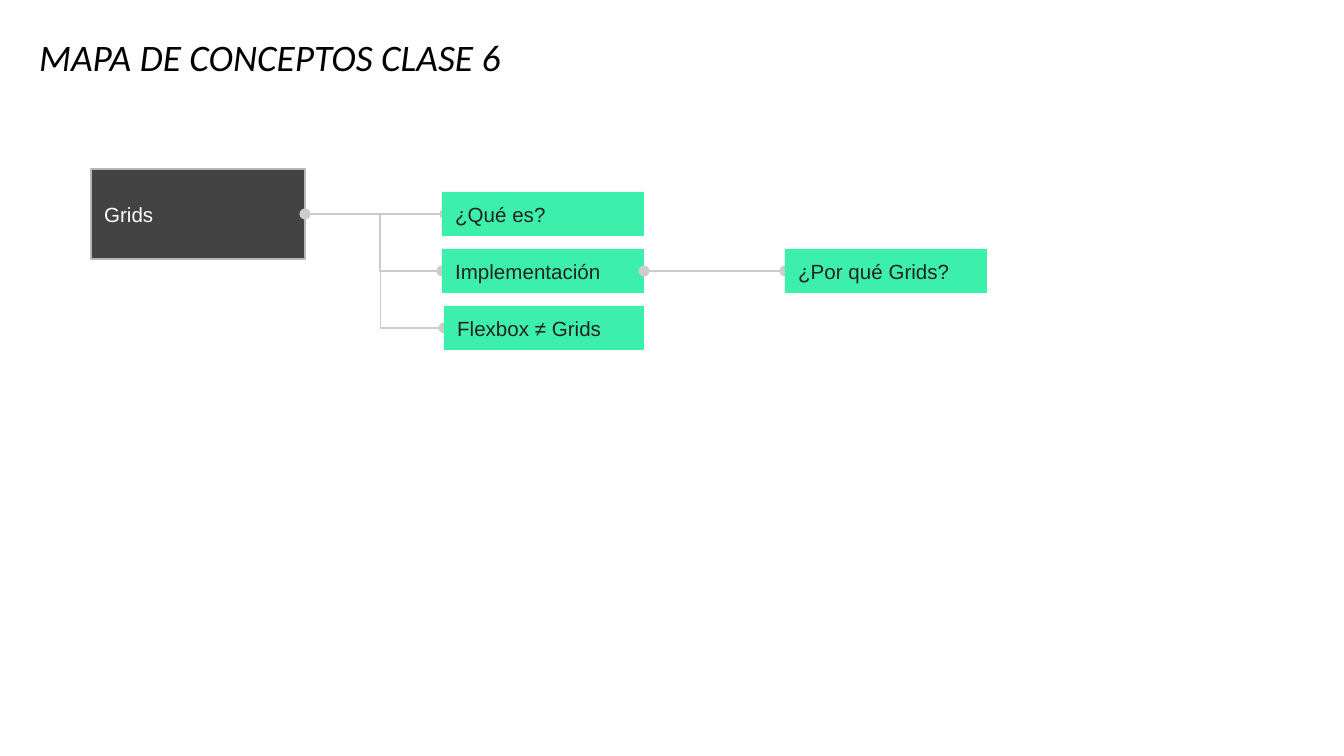
from lxml import etree
from pptx import Presentation, util as u
from pptx.dml.color import RGBColor
from pptx.enum import shapes, text
from pptx.oxml.ns import qn

PX = 914400 / 134.4
BLACK = RGBColor(0x00, 0x00, 0x00)
WHITE = RGBColor(0xFF, 0xFF, 0xFF)
DARK = RGBColor(0x43, 0x43, 0x43)
INK = RGBColor(0x22, 0x22, 0x22)
GREEN = RGBColor(0x3C, 0xEF, 0xAB)
BORDER = RGBColor(0xB7, 0xB7, 0xB7)
GREY = RGBColor(0xCC, 0xCC, 0xCC)

ROOT_RIGHT, ROOT_MIDDLE = 305, 214
TOPIC_LEFT, TOPIC_RIGHT, TOPIC_HEIGHT = 442, 644, 44
TOPIC_TOP, TOPIC_STEP = 192, 57
DETAIL_LEFT, DETAIL_WIDTH = 785, 202


def px(*lengths):
    return [u.Emu(round(length * PX)) for length in lengths]


def write(shape, words, anchor, font_name, size, color):
    """Fill a shape with one left-aligned run and return the run."""
    frame = shape.text_frame
    frame.word_wrap = True
    frame.vertical_anchor = anchor
    frame.margin_left = frame.margin_right = u.Inches(0.1)
    frame.margin_top = frame.margin_bottom = u.Inches(0.1)
    paragraph = frame.paragraphs[0]
    paragraph.alignment = text.PP_ALIGN.LEFT
    run = paragraph.add_run()
    run.text = words
    run.font.name = font_name
    run.font.size = u.Pt(size)
    run.font.color.rgb = color
    return run


presentation = Presentation()
presentation.slide_width, presentation.slide_height = px(1344, 756)
slide = presentation.slides.add_slide(presentation.slide_layouts[6])

title = slide.shapes.add_textbox(*px(26, 30, 1110, 62))
title_run = write(title, "MAPA DE CONCEPTOS CLASE 6", text.MSO_ANCHOR.BOTTOM,
                  "Calibri", 20, BLACK)
title_run.font.italic = True

# Connectors lie under the box they lead to, so the two are drawn in turn.
STRAIGHT = shapes.MSO_CONNECTOR.STRAIGHT
ELBOW = shapes.MSO_CONNECTOR.ELBOW
middles = [TOPIC_TOP + TOPIC_STEP * row + TOPIC_HEIGHT // 2 for row in range(3)]
topic_width = TOPIC_RIGHT - TOPIC_LEFT
# label, left, middle, width, height, fill, connector (kind, x1, y1, x2, y2), parent
concepts = [
    ("Grids", 91, ROOT_MIDDLE, 214, 90, DARK, None, None),
    ("¿Qué es?", TOPIC_LEFT, middles[0], topic_width, TOPIC_HEIGHT, GREEN,
     (STRAIGHT, ROOT_RIGHT, ROOT_MIDDLE, 445, ROOT_MIDDLE), "Grids"),
    ("Implementación", TOPIC_LEFT, middles[1], topic_width, TOPIC_HEIGHT, GREEN,
     (ELBOW, 317, ROOT_MIDDLE, TOPIC_LEFT, middles[1]), None),
    ("¿Por qué Grids?", DETAIL_LEFT, middles[1], DETAIL_WIDTH, TOPIC_HEIGHT, GREEN,
     (STRAIGHT, TOPIC_RIGHT, middles[1], DETAIL_LEFT, middles[1]), "Implementación"),
    ("Flexbox ≠ Grids", 444, middles[2], 200, TOPIC_HEIGHT, GREEN,
     (ELBOW, 317, ROOT_MIDDLE, 444, middles[2]), None),
]

boxes = {}
for label, left, middle, width, height, fill, link, parent in concepts:
    connector = None
    if link:
        kind, *ends = link
        connector = slide.shapes.add_connector(kind, *px(*ends))
        connector.line.color.rgb = GREY
        connector.line.width = u.Pt(0.75)
        line = connector.line._get_or_add_ln()
        if kind == STRAIGHT:
            etree.SubElement(line, qn("a:headEnd"), type="oval")
        etree.SubElement(line, qn("a:tailEnd"), type="oval")
        etree.SubElement(connector._element.spPr, qn("a:effectLst"))

    box = slide.shapes.add_shape(shapes.MSO_SHAPE.RECTANGLE,
                                 *px(left, middle - height // 2, width, height))
    box.shadow.inherit = False
    box.fill.solid()
    box.fill.fore_color.rgb = fill
    if fill == DARK:
        box.line.color.rgb = BORDER
        box.line.width = u.Pt(0.75)
    else:
        box.line.fill.background()
    write(box, label, text.MSO_ANCHOR.MIDDLE, "Arial", 11,
          WHITE if fill == DARK else INK)
    boxes[label] = box

    if parent:
        connector.begin_connect(boxes[parent], 3)
        if ends[2] == left:
            connector.end_connect(box, 1)

presentation.save("out.pptx")
